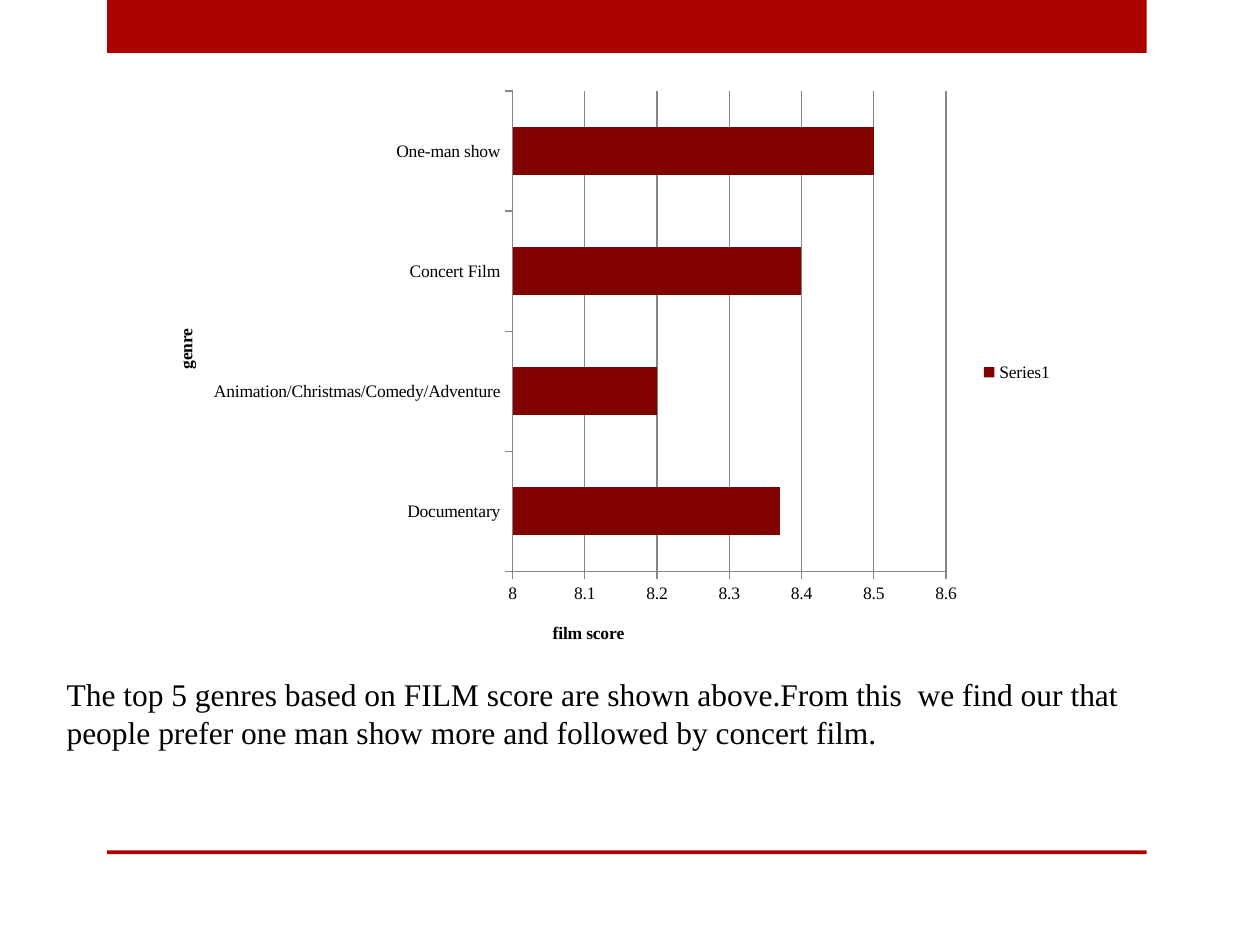
from lxml.etree import SubElement
from pptx import Presentation
from pptx.chart.data import CategoryChartData
from pptx.dml.color import RGBColor
from pptx.enum.chart import XL_CHART_TYPE, XL_LEGEND_POSITION, XL_TICK_MARK
from pptx.oxml import parse_xml
from pptx.oxml.ns import nsdecls, qn
from pptx.util import Inches, Pt

WIDTH, HEIGHT = 10, 7.5
FONT = "Times New Roman"
BLACK, RED, DARK_RED, GRAY = "000000", "AD0101", "820101", "868686"
SCORES = {
    "Documentary": 8.37,
    "Animation/Christmas/Comedy/Adventure": 8.2,
    "Concert Film": 8.4,
    "One-man show": 8.5,
}


def color(hex_code):
    return RGBColor.from_string(hex_code)


def style_font(font, size, bold=False, hex_code=BLACK):
    font.name, font.size, font.bold = FONT, Pt(size), bold
    font.color.rgb = color(hex_code)


def write(frame, text, **style):
    run = frame.paragraphs[0].add_run()
    run.text = text
    style_font(run.font, **style)


def share(box, left, top, width, height):
    """Return the part of a box given by shares of its size."""
    x, y, w, h = box
    return x + left * w, y + top * h, width * w, height * h


def emu(box):
    return [Inches(length) for length in box]


def set_layout(parent, index, target=None, **shares):
    """Fix a chart part's place, as shares of the chart's size."""
    for old in parent.findall(qn("c:layout")):
        parent.remove(old)
    layout = parse_xml(f"<c:layout {nsdecls('c')}><c:manualLayout/></c:layout>")
    settings = {"layoutTarget": target} if target else {}
    settings.update(xMode="edge", yMode="edge", **shares)
    for tag, value in settings.items():
        SubElement(layout[0], qn(f"c:{tag}")).set("val", str(value))
    parent.insert(index, layout)


def add_bands(slide, box):
    for top, height in ((0, 0.056), (0.9, 0.004)):
        band = slide.shapes.add_shape(1, *emu(share(box, 0, top, 1, height)))
        band.shadow.inherit = False
        band.fill.solid()
        band.fill.fore_color.rgb = color(RED)
        band.line.fill.background()


def style_axis(axis, title, x, y):
    write(axis.axis_title.text_frame, title, size=10, bold=True)
    set_layout(axis.axis_title._element, 1, x=x, y=y)
    axis.major_tick_mark = XL_TICK_MARK.OUTSIDE
    axis.minor_tick_mark = XL_TICK_MARK.NONE
    axis.format.line.color.rgb = color(GRAY)
    style_font(axis.tick_labels.font, 10)


def add_score_chart(slide, box):
    data = CategoryChartData(number_format="General")
    data.categories = list(SCORES)
    data.add_series("Series1", list(SCORES.values()))
    chart = slide.shapes.add_chart(
        XL_CHART_TYPE.BAR_CLUSTERED, *emu(box), data).chart
    style_font(chart.font, 10)
    chart.has_title = False
    chart.has_legend = True
    chart.legend.position = XL_LEGEND_POSITION.RIGHT
    chart.legend.include_in_layout = False
    style_font(chart.legend.font, 10)

    bars = chart.plots[0]
    bars.gap_width = 150
    bars.vary_by_categories = False
    fill = bars.series[0].format.fill
    fill.solid()
    fill.fore_color.rgb = color(DARK_RED)

    style_axis(chart.category_axis, "genre", x=0.03, y=0.42)
    scores = chart.value_axis
    style_axis(scores, "film score", x=0.44, y=0.92)
    scores.minimum_scale, scores.maximum_scale = 8, 8.6
    scores.major_unit = 0.1
    scores.has_major_gridlines = True
    scores.major_gridlines.format.line.color.rgb = color(GRAY)
    set_layout(chart._chartSpace.chart.plotArea, 0, target="inner",
               x=0.4, y=0.02, w=0.47, h=0.82)


def add_finding(slide, box):
    frame = slide.shapes.add_textbox(*emu(box)).text_frame
    frame.word_wrap = True
    write(frame, "The top 5 genres based on FILM score are shown above.From this  "
          "we find our that people prefer one man show more and followed by "
          "concert film.", size=18)


def main():
    deck = Presentation()
    deck.slide_width, deck.slide_height = Inches(WIDTH), Inches(HEIGHT)
    slide = deck.slides.add_slide(deck.slide_layouts[6])
    page = (0, 0, WIDTH, HEIGHT)
    add_bands(slide, share(page, 0.085, 0, 0.825, 1))
    add_score_chart(slide, share(page, 0.114, 0.084, 0.732, 0.62))
    add_finding(slide, share(page, 0.043, 0.708, 0.921, 0.095))
    deck.save("out.pptx")


if __name__ == "__main__":
    main()
